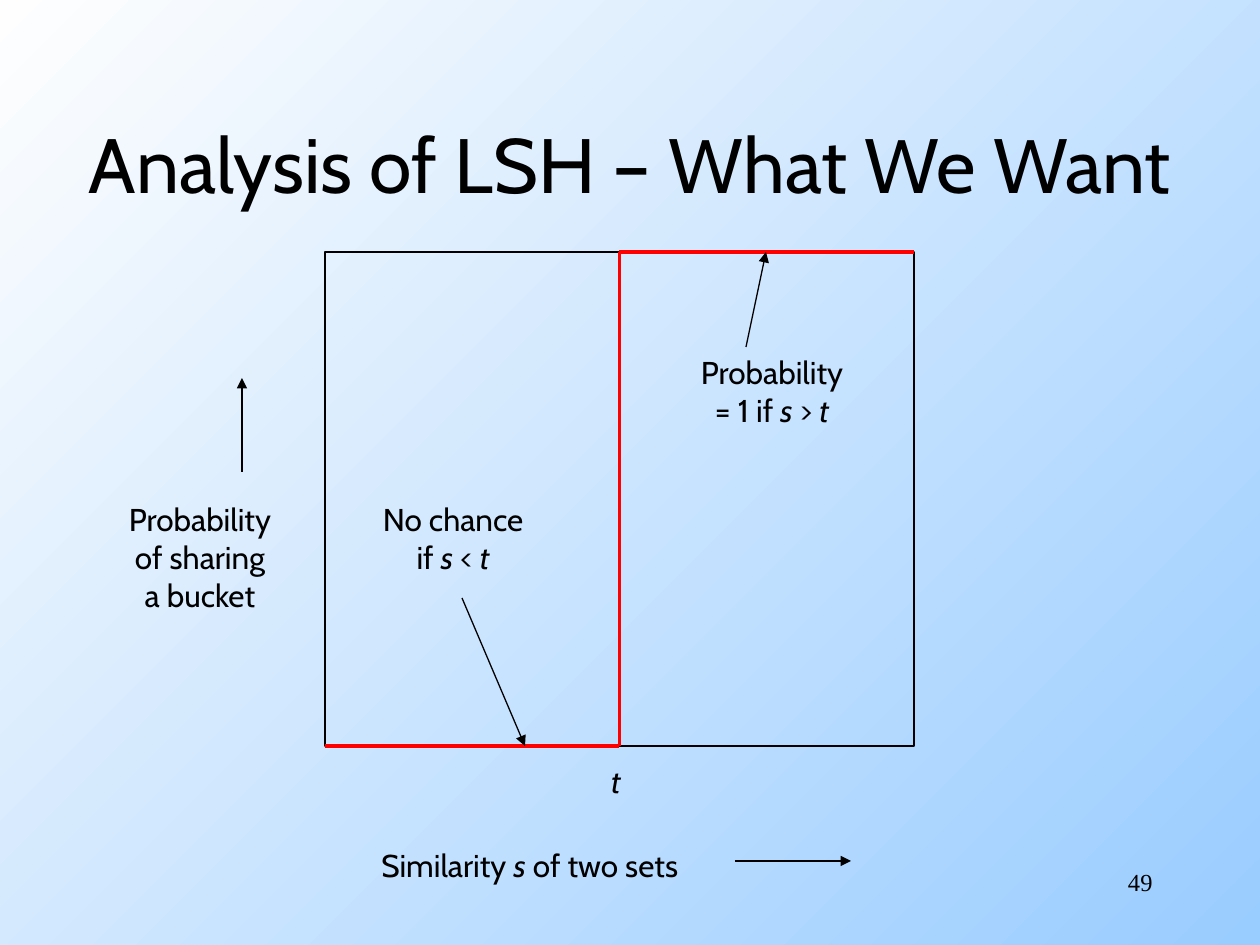
from lxml.etree import SubElement
from pptx import Presentation
from pptx.dml.color import RGBColor
from pptx.enum.shapes import MSO_CONNECTOR, MSO_SHAPE
from pptx.enum.text import MSO_ANCHOR as Anchor, MSO_AUTO_SIZE as AutoSize, PP_ALIGN as Align
from pptx.oxml.ns import qn
from pptx.util import Pt

EMU_PER_PX = 914400 / 126
COLORS = {"ink": "000000", "step": "FF0000", "sky": "99CCFF", "light": "FEFEFE"}
TOP, RIGHT, BOTTOM, LEFT = 252, 914, 746, 325
THRESHOLD = (LEFT + RIGHT) // 2
TOP_SIDE, BOTTOM_SIDE = 0, 2


def px(*lengths):
    return [round(length * EMU_PER_PX) for length in lengths]


def color(name):
    return RGBColor.from_string(COLORS[name])


def write_text(shape, *lines, size=18, font="Cabin", align=Align.CENTER,
               anchor=Anchor.TOP, wrap=False):
    """Write one paragraph per line; parts between asterisks are italic."""
    frame = shape.text_frame
    frame.auto_size = AutoSize.NONE
    frame.word_wrap = wrap
    frame.vertical_anchor = anchor
    for index, line in enumerate(lines):
        paragraph = frame.add_paragraph() if index else frame.paragraphs[0]
        paragraph.alignment = align
        for part_index, part in enumerate(line.split("*")):
            if part:
                run = paragraph.add_run()
                run.text = part
                run.font.name = font
                run.font.size = Pt(size)
                run.font.italic = part_index % 2 == 1
                run.font.color.rgb = color("ink")


def add_label(shapes, box, *lines, **text_format):
    write_text(shapes.add_textbox(*px(*box)), *lines, **text_format)


def add_line(shapes, start, end, line_color="ink", width=0.75, arrow=False):
    connector = shapes.add_connector(MSO_CONNECTOR.STRAIGHT, *px(*start, *end))
    connector.line.color.rgb = color(line_color)
    connector.line.width = Pt(width)
    if arrow:
        SubElement(connector.line._get_or_add_ln(), qn("a:tailEnd"), type="triangle")
    SubElement(connector._element.spPr, qn("a:effectLst"))
    return connector


def add_callout(slide, box, lines, start, end):
    group = slide.shapes.add_group_shape()
    add_label(group.shapes, box, *lines)
    add_line(group.shapes, start, end, arrow=True)


def paint_background(slide):
    fill = slide.background.fill
    fill.gradient()
    fill.gradient_angle = 135
    for stop, name, position in zip(fill.gradient_stops, ("sky", "light"), (0, 1)):
        stop.color.rgb = color(name)
        stop.position = position


def add_title(slide, text):
    title = slide.shapes.title
    title.left, title.top, title.width, title.height = px(0, 84, 1260, 158)
    write_text(title, text, size=44, anchor=Anchor.MIDDLE, wrap=True)


def add_plot_area(slide):
    box = px(LEFT, TOP, RIGHT - LEFT, BOTTOM - TOP)
    plot = slide.shapes.add_shape(MSO_SHAPE.RECTANGLE, *box)
    plot.fill.background()
    plot.line.color.rgb = color("ink")
    plot.line.width = Pt(0.75)
    plot.shadow.inherit = False
    return plot


def add_step(slide, plot):
    """Draw the ideal curve: 0 up to the threshold, 1 after it."""
    corners = [(LEFT, BOTTOM), (THRESHOLD, BOTTOM), (THRESHOLD, TOP), (RIGHT, TOP)]
    low, rise, high = [
        add_line(slide.shapes, start, end, line_color="step", width=2)
        for start, end in zip(corners, corners[1:])
    ]
    low.end_connect(plot, BOTTOM_SIDE)
    rise.begin_connect(plot, BOTTOM_SIDE)
    rise.end_connect(plot, TOP_SIDE)
    high.begin_connect(plot, TOP_SIDE)


def main():
    presentation = Presentation()
    presentation.slide_width, presentation.slide_height = px(1260, 945)
    slide = presentation.slides.add_slide(presentation.slide_layouts[5])
    shapes = slide.shapes

    paint_background(slide)
    add_title(slide, "Analysis of LSH – What We Want")
    plot = add_plot_area(slide)

    add_label(shapes, (369, 840, 330, 50), "Similarity *s* of two sets", align=Align.LEFT)
    add_line(shapes, (735, 861), (851, 861), arrow=True)
    add_label(shapes, (108, 494, 184, 126), "Probability", "of sharing", "a bucket")
    add_line(shapes, (242, 472), (242, 378), arrow=True)

    add_step(slide, plot)
    add_label(shapes, (598, 756, 36, 50), "*t*")
    add_callout(slide, (363, 494, 180, 88), ("No chance", "if *s* < *t*"),
                (462, 598), (525, BOTTOM))
    add_callout(slide, (680, 347, 184, 88), ("Probability", "= 1 if *s* > *t*"),
                (746, 347), (766, TOP))

    add_label(shapes, (903, 861, 262, 63), "49", size=14, font="Times New Roman",
              align=Align.RIGHT, wrap=True)
    presentation.save("out.pptx")


if __name__ == "__main__":
    main()
